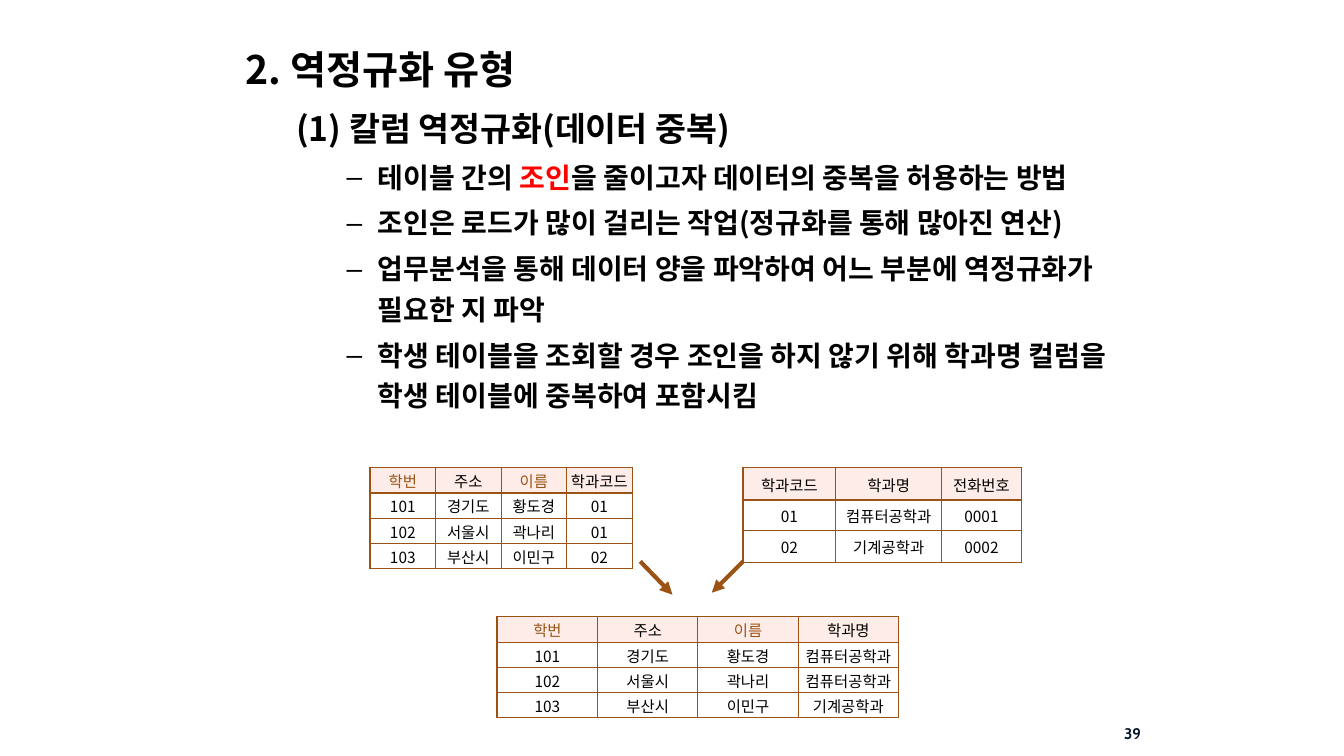
import pptx
import pptx.dml.color
import pptx.enum.shapes
import pptx.enum.text
import pptx.oxml
import pptx.oxml.ns
import pptx.util
from lxml import etree

PX = 9144
KOREAN, LATIN, BULLET = "Noto Sans CJK KR", "Cabin", "Arial"
BLACK, BROWN, RED, PINK, NAVY = "000000", "9A5315", "FF0000", "FDECE8", "051729"

OUTLINE_BOX = (234, 31, 898, 433)
OUTLINE = [
    (0, [("2. 역정규화 유형", BLACK)]),
    (1, [("(1) 칼럼 역정규화(데이터 중복)", BLACK)]),
    (2, [("테이블 간의 ", BLACK), ("조인", RED),
         ("을 줄이고자 데이터의 중복을 허용하는 방법", BLACK)]),
    (2, [("조인은 로드가 많이 걸리는 작업(정규화를 통해 많아진 연산)", BLACK)]),
    (2, [("업무분석을 통해 데이터 양을 파악하여 어느 부분에 역정규화가 필요한 지 파악", BLACK)]),
    (2, [("학생 테이블을 조회할 경우 조인을 하지 않기 위해 학과명 컬럼을 학생 테이블에 중복하여 포함시킴", BLACK)]),
]
LEVELS = [(28, 0, 0), (24, 50, 0), (20, 131, -31)]

KEY_COLUMNS = {"학번", "이름"}
TABLES = [
    ((367, 464), [65, 65, 65, 65], [25, 25, 25, 25], [
        ["학번", "주소", "이름", "학과코드"],
        ["101", "경기도", "황도경", "01"],
        ["102", "서울시", "곽나리", "01"],
        ["103", "부산시", "이민구", "02"],
    ]),
    ((737, 464), [92, 105, 79], [32, 30, 32], [
        ["학과코드", "학과명", "전화번호"],
        ["01", "컴퓨터공학과", "0001"],
        ["02", "기계공학과", "0002"],
    ]),
    ((493, 612), [100, 99, 100, 99], [25, 25, 25, 25], [
        ["학번", "주소", "이름", "학과명"],
        ["101", "경기도", "황도경", "컴퓨터공학과"],
        ["102", "서울시", "곽나리", "컴퓨터공학과"],
        ["103", "부산시", "이민구", "기계공학과"],
    ]),
]
ARROWS = [(737, 557, 706, 588), (635, 557, 667, 590)]
PAGE_NUMBER, PAGE_NUMBER_BOX = "39", (1105, 708, 50, 40)


def emu(*lengths):
    return [pptx.util.Emu(length * PX) for length in lengths]


def color(value):
    return pptx.dml.color.RGBColor.from_string(value)


def add_xml(parent, tag, **attributes):
    element = etree.SubElement(parent, pptx.oxml.ns.qn(tag))
    for name, value in attributes.items():
        element.set(name, str(value))
    return element


def set_font(paragraph, name, size, bold, hex_color):
    font = paragraph.font
    font.name, font.size, font.bold = name, pptx.util.Pt(size), bold
    font.color.rgb = color(hex_color)
    properties = paragraph._p.get_or_add_pPr().find(pptx.oxml.ns.qn("a:defRPr"))
    add_xml(properties, "a:ea", typeface=name)


def add_outline(slide):
    frame = slide.shapes.add_textbox(*emu(*OUTLINE_BOX)).text_frame
    frame.word_wrap = True
    for index, (level, runs) in enumerate(OUTLINE):
        size, margin, indent = LEVELS[level]
        paragraph = frame.add_paragraph() if index else frame.paragraphs[0]
        paragraph.level = level
        properties = paragraph._p.get_or_add_pPr()
        properties.set("marL", str(margin * PX))
        properties.set("indent", str(indent * PX))
        if indent:
            add_xml(properties, "a:buFont", typeface=BULLET)
            add_xml(properties, "a:buChar", char="–")
        paragraph.line_spacing = 1.2
        if index:
            paragraph.space_before = pptx.util.Pt(size * 0.2)
        set_font(paragraph, KOREAN, size, True, BLACK)
        for text, hex_color in runs:
            run = paragraph.add_run()
            run.text = text
            if hex_color != BLACK:
                run.font.color.rgb = color(hex_color)


def add_borders(cell):
    properties = cell._tc.get_or_add_tcPr()
    for position, side in enumerate(("a:lnL", "a:lnR", "a:lnT", "a:lnB")):
        line = add_xml(properties, side, w=pptx.util.Pt(1))
        add_xml(add_xml(line, "a:solidFill"), "a:srgbClr", val=BROWN)
        properties.remove(line)
        properties.insert(position, line)


def add_table(slide, corner, widths, heights, rows):
    table = slide.shapes.add_table(
        len(rows), len(widths), *emu(*corner, sum(widths), sum(heights))).table
    table.first_row = table.horz_banding = False
    for column, width in zip(table.columns, widths):
        column.width = emu(width)[0]
    for row, height in zip(table.rows, heights):
        row.height = emu(height)[0]
    for row_index, values in enumerate(rows):
        for column_index, text in enumerate(values):
            cell = table.cell(row_index, column_index)
            cell.text = text
            cell.vertical_anchor = pptx.enum.text.MSO_ANCHOR.MIDDLE
            cell.margin_left, cell.margin_right, cell.margin_top, cell.margin_bottom = emu(1, 1, 1, 0)
            if row_index:
                cell.fill.background()
            else:
                cell.fill.solid()
                cell.fill.fore_color.rgb = color(PINK)
            add_borders(cell)
            paragraph = cell.text_frame.paragraphs[0]
            paragraph.alignment = pptx.enum.text.PP_ALIGN.CENTER
            set_font(paragraph, KOREAN, 11, False, BROWN if text in KEY_COLUMNS else BLACK)


def add_arrow(slide, ends):
    arrow = slide.shapes.add_connector(pptx.enum.shapes.MSO_CONNECTOR.STRAIGHT, *emu(*ends))
    arrow.line.color.rgb = color(BROWN)
    arrow.line.width = pptx.util.Pt(3)
    add_xml(arrow.line._get_or_add_ln(), "a:tailEnd", type="triangle")
    add_xml(arrow._element.spPr, "a:effectLst")


def add_page_number(slide):
    frame = slide.shapes.add_textbox(*emu(*PAGE_NUMBER_BOX)).text_frame
    frame.word_wrap = True
    frame.vertical_anchor = pptx.enum.text.MSO_ANCHOR.MIDDLE
    frame.text = PAGE_NUMBER
    set_font(frame.paragraphs[0], LATIN, 11, True, NAVY)


def main():
    presentation = pptx.Presentation()
    presentation.slide_width, presentation.slide_height = emu(1333, 750)
    slide = presentation.slides.add_slide(presentation.slide_layouts[6])
    add_outline(slide)
    for table in TABLES:
        add_table(slide, *table)
    for ends in ARROWS:
        add_arrow(slide, ends)
    add_page_number(slide)
    presentation.save("out.pptx")


if __name__ == "__main__":
    main()
